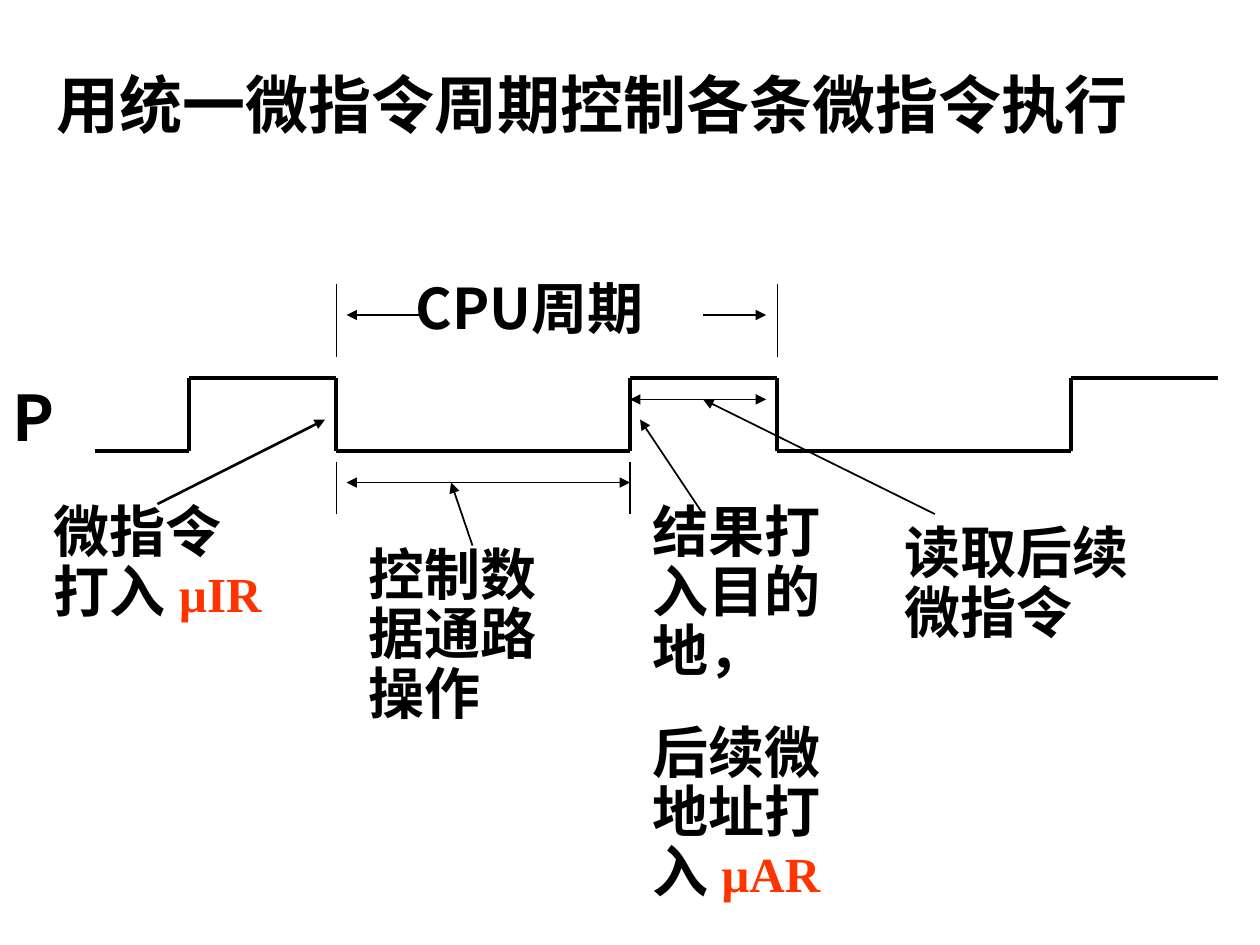
from dataclasses import dataclass
from itertools import pairwise

from lxml.etree import SubElement
from pptx import Presentation
from pptx.dml.color import RGBColor
from pptx.enum.shapes import MSO_CONNECTOR
from pptx.enum.text import MSO_AUTO_SIZE
from pptx.oxml.ns import qn
from pptx.shapes.shapetree import GroupShapes, SlideShapes
from pptx.util import Inches, Pt

COLORS = {"ink": "000000", "register": "FF3300"}
CJK_FONT = "Noto Sans CJK SC"
LATIN_FONT = "Times New Roman"
HIGH, LOW = 3, 3.58
CLOCK_EDGES = [1.5, 2.67, 5, 6.17, 8.5]
CLOCK_START, CLOCK_END = 0.75, 9.67


@dataclass(frozen=True)
class Line:
    """A straight line with optional arrowheads."""
    start: tuple[float, float]
    end: tuple[float, float]
    width: float = 1
    head: bool = False
    tail: bool = False


@dataclass(frozen=True)
class Label:
    """A text box whose last line may end in a register name."""
    box: tuple[float, float, float, float]
    lines: tuple[str, ...]
    size: int = 32
    font: str = LATIN_FONT
    spacing: float = 0.6
    register: str = ""


LABELS = [
    Label((0.35, 0.68, 9.02, 0.46), ("用统一微指令周期控制各条微指令执行",), 36, CJK_FONT),
    Label((0, 3.17, 1.17, 0.46), ("P",), 36, CJK_FONT),
    Label((3.2, 2.27, 2.83, 0.47), ("CPU周期",), 32, CJK_FONT, 0.7),
    Label((0.33, 4.08, 2.58, 1.01), ("微指令", "打入 "), register="µIR"),
    Label((2.83, 4.42, 2.58, 1.59), ("控制数", "据通路", "操作")),
    Label((5.08, 4.08, 2.58, 1.59), ("结果打", "入目的", "地，")),
    Label((5.08, 5.83, 2.58, 1.59), ("后续微", "地址打", "入 "), register="µAR"),
    Label((7.08, 4.25, 2.58, 1.01), ("读取后续", "微指令")),
]

BOUNDARIES = [
    *(Line((x, 2.25), (x, 2.83)) for x in (2.67, 6.17)),
    *(Line((x, 3.67), (x, 4.08)) for x in (2.67, 5)),
]

ARROWS = [
    Line((2.75, 2.5), (3.33, 2.5), head=True),
    Line((5.58, 2.5), (6.08, 2.5), tail=True),
    Line((2.75, 3.83), (5, 3.83), head=True, tail=True),
    Line((5, 3.17), (6.08, 3.17), head=True, tail=True),
    Line((1.25, 4), (2.58, 3.33), 1.5, tail=True),
    Line((3.75, 4.33), (3.58, 3.83), tail=True),
    Line((5.08, 3.33), (5.58, 4.08), head=True),
    Line((5.58, 3.17), (7.42, 4.08), head=True),
]


def clock_lines() -> list[Line]:
    """Return the levels and edges of the clock signal."""
    stops = [CLOCK_START, *CLOCK_EDGES, CLOCK_END]
    levels = [
        Line((left, y), (right, y), 2.25)
        for i, (left, right) in enumerate(pairwise(stops))
        for y in [HIGH if i % 2 else LOW]
    ]
    return levels + [Line((x, LOW), (x, HIGH), 2.25) for x in CLOCK_EDGES]


def draw_line(shapes: SlideShapes | GroupShapes, line: Line) -> None:
    """Draw one line with its arrowheads."""
    connector = shapes.add_connector(
        MSO_CONNECTOR.STRAIGHT, *map(Inches, line.start + line.end))
    connector.line.width = Pt(line.width)
    connector.line.color.rgb = RGBColor.from_string(COLORS["ink"])
    outline = connector.line._get_or_add_ln()
    for tag, wanted in (("a:headEnd", line.head), ("a:tailEnd", line.tail)):
        if wanted:
            SubElement(outline, qn(tag), type="triangle")
    SubElement(connector._element.spPr, qn("a:effectLst"))


def draw_label(shapes: SlideShapes, label: Label) -> None:
    """Draw one label, a paragraph per line."""
    frame = shapes.add_textbox(*map(Inches, label.box)).text_frame
    frame.word_wrap = True
    frame.auto_size = MSO_AUTO_SIZE.SHAPE_TO_FIT_TEXT
    for i, text in enumerate(label.lines):
        paragraph = frame.add_paragraph() if i else frame.paragraphs[0]
        paragraph.line_spacing = label.spacing
        if i:
            paragraph.space_before = Pt(11)
        paragraph.add_run().text = text
        font = paragraph.font
        font.name, font.size, font.bold = label.font, Pt(label.size), True
        font.color.rgb = RGBColor.from_string(COLORS["ink"])
        SubElement(font._element, qn("a:ea"), typeface=CJK_FONT)
    if label.register:
        register = paragraph.add_run()
        register.text = label.register
        register.font.size = Pt(28)
        register.font.color.rgb = RGBColor.from_string(COLORS["register"])


def main() -> None:
    """Build the timing diagram slide."""
    presentation = Presentation()
    presentation.slide_width, presentation.slide_height = Inches(10), Inches(7.5)
    shapes = presentation.slides.add_slide(presentation.slide_layouts[6]).shapes
    clock = shapes.add_group_shape()
    for line in clock_lines():
        draw_line(clock.shapes, line)
    for line in BOUNDARIES + ARROWS:
        draw_line(shapes, line)
    for label in LABELS:
        draw_label(shapes, label)
    presentation.save("out.pptx")


if __name__ == "__main__":
    main()
